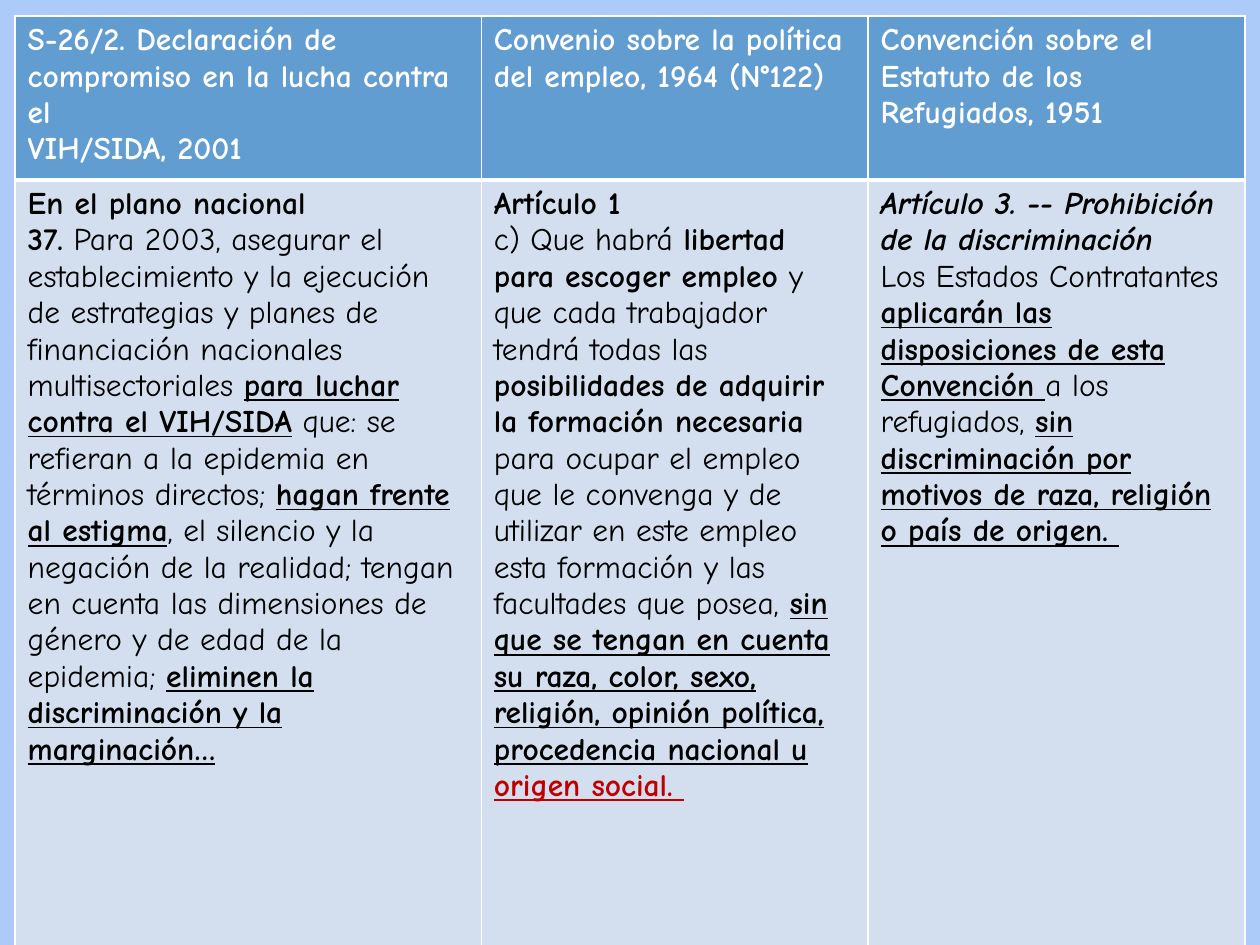
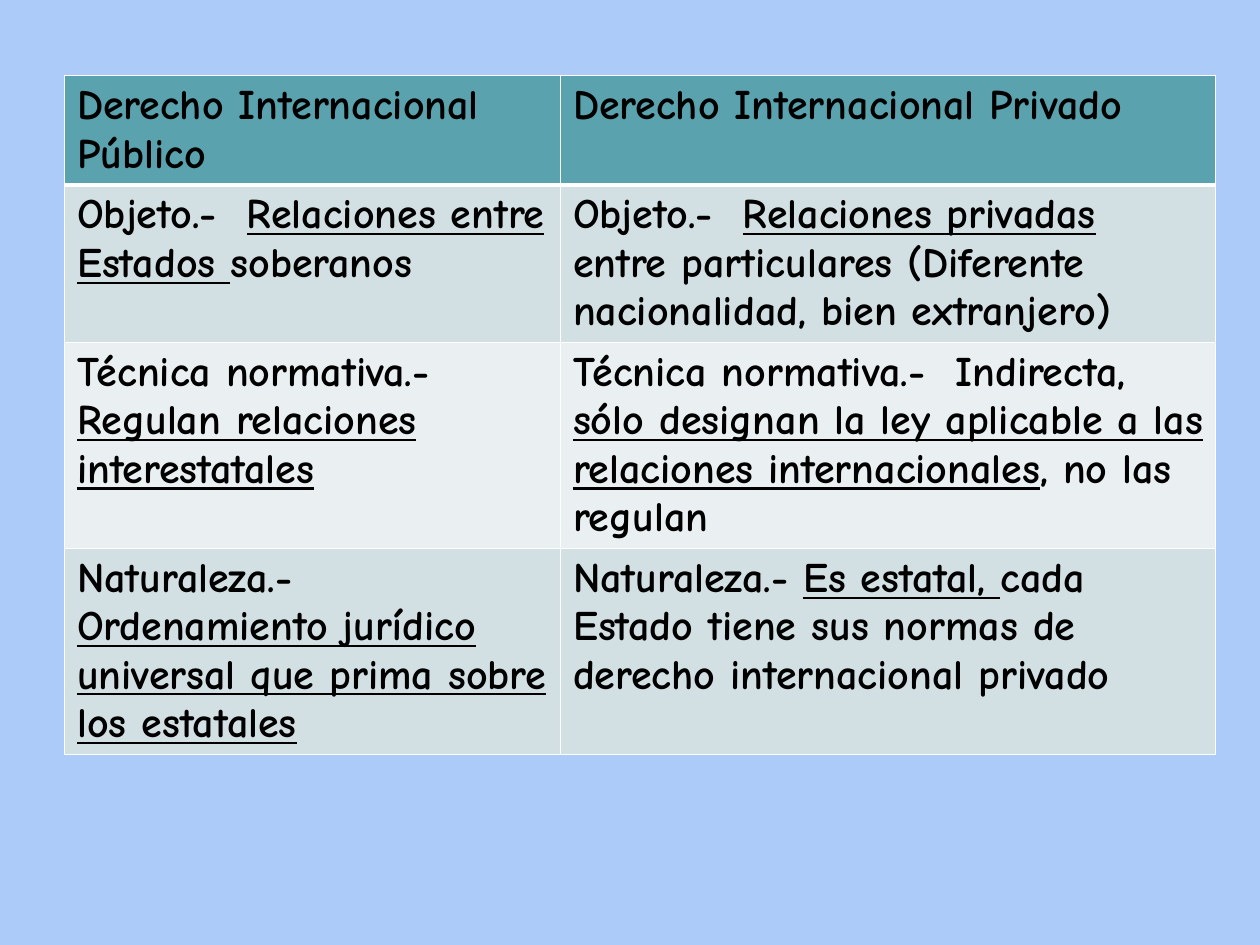
from lxml import etree
from pptx import Presentation
from pptx.dml.color import RGBColor
from pptx.oxml.ns import qn
from pptx.util import Pt

FONT = "Comic Neue"
COLORS = {
    "background": "ACCBF9",
    "white": "FFFFFF",
    "black": "000000",
    "red": "C00000",
    "treaty_header": "629DD1",
    "treaty_body": "D3DFEE",
    "law_header": "5AA2AE",
    "law_band": "D2E0E3",
    "law_light": "EAF0F2",
}
THIN, THICK = 1, 3

TREATY_HEADERS = [
    [
        [("S-26/2. Declaración de compromiso en la lucha contra el", "b")],
        [("VIH/SIDA, 2001", "b")],
    ],
    [[("Convenio sobre la política del empleo, 1964 (N°122)", "b")]],
    [[("Convención sobre el Estatuto de los Refugiados, 1951", "b")]],
]
TREATY_ARTICLES = [
    [
        [("En el plano nacional", "b")],
        [
            ("37.", "b"),
            (" Para 2003, asegurar el establecimiento y la ejecución de estrategias y planes de", ""),
        ],
        [
            ("financiación nacionales multisectoriales ", ""),
            ("para luchar contra el VIH/SIDA", "bu"),
            (" que: se", ""),
        ],
        [
            ("refieran a la epidemia en términos directos; ", ""),
            ("hagan frente al estigma", "bu"),
            (", el silencio y la", ""),
        ],
        [("negación de la realidad; tengan en cuenta las dimensiones de género y de edad de la", "")],
        [("epidemia; ", ""), ("eliminen la discriminación y la marginación…", "bu")],
    ],
    [
        [("Artículo 1", "b")],
        [
            ("c) Que habrá ", ""),
            ("libertad para escoger empleo ", "b"),
            ("y que cada trabajador tendrá todas las ", ""),
            ("posibilidades de adquirir la formación necesaria ", "b"),
            ("para ocupar el empleo que le convenga y de utilizar en este empleo "
             "esta formación y las facultades que posea, ", ""),
            ("sin que se tengan en cuenta su raza, color, sexo, religión, "
             "opinión política, procedencia nacional u ", "bu"),
            ("origen social. ", "bur"),
        ],
    ],
    [
        [("Artículo 3. -- Prohibición de la discriminación", "bi")],
        [
            ("Los Estados Contratantes ", ""),
            ("aplicarán las disposiciones de esta Convención ", "bu"),
            ("a los refugiados, ", ""),
            ("sin discriminación por motivos de raza, religión o país de origen. ", "bu"),
        ],
    ],
]
LAW_BRANCHES = [
    [
        [[("Derecho Internacional Público", "b")]],
        [[("Derecho Internacional Privado", "b")]],
    ],
    [
        [[("Objeto.-  ", "b"), ("Relaciones entre Estados ", "bu"), ("soberanos", "b")]],
        [[
            ("Objeto.-  ", "b"),
            ("Relaciones privadas ", "bu"),
            ("entre particulares (Diferente nacionalidad, bien extranjero)", "b"),
        ]],
    ],
    [
        [[("Técnica normativa.- ", "b"), ("Regulan relaciones interestatales", "bu")]],
        [[
            ("Técnica normativa.-  Indirecta, ", "b"),
            ("sólo designan la ley aplicable a las relaciones internacionales", "bu"),
            (", no las regulan", "b"),
        ]],
    ],
    [
        [[
            ("Naturaleza.- ", "b"),
            ("Ordenamiento jurídico universal que prima sobre los estatales", "bu"),
        ]],
        [[
            ("Naturaleza.- ", "b"),
            ("Es estatal, ", "bu"),
            ("cada Estado tiene sus normas de derecho internacional privado", "b"),
        ]],
    ],
]


def rgb(name):
    return RGBColor.from_string(COLORS[name])


def add_text(paragraph, text, size, color, bold=False, italic=False, underline=False):
    run = paragraph.add_run()
    run.text = text
    font = run.font
    font.name, font.size = FONT, Pt(size)
    font.bold, font.italic, font.underline = bold, italic, underline
    font.color.rgb = rgb(color)


def set_borders(cell, top, bottom):
    properties = cell._tc.get_or_add_tcPr()
    for side, width in (("L", THIN), ("R", THIN), ("T", top), ("B", bottom)):
        line = etree.SubElement(properties, qn(f"a:ln{side}"), w=str(Pt(width)))
        fill = etree.SubElement(line, qn("a:solidFill"))
        etree.SubElement(fill, qn("a:srgbClr"), val=COLORS["white"])


def fill_cell(cell, paragraphs, size, color):
    frame = cell.text_frame
    for index, runs in enumerate(paragraphs):
        paragraph = frame.add_paragraph() if index else frame.paragraphs[0]
        for text, style in runs:
            add_text(paragraph, text, size, "red" if "r" in style else color,
                     bold="b" in style, italic="i" in style, underline="u" in style)


def add_grid(slide, left, top, widths, heights, rows, fills, size, header_color):
    table = slide.shapes.add_table(
        len(rows), len(widths), Pt(left), Pt(top), Pt(sum(widths)), Pt(sum(heights))
    ).table
    table.horz_banding = False
    for column, width in zip(table.columns, widths):
        column.width = Pt(width)
    for r, (cells, height, fill) in enumerate(zip(rows, heights, fills)):
        table.rows[r].height = Pt(height)
        for c, paragraphs in enumerate(cells):
            cell = table.cell(r, c)
            set_borders(cell, THICK if r == 1 else THIN, THICK if r == 0 else THIN)
            cell.fill.solid()
            cell.fill.fore_color.rgb = rgb(fill)
            fill_cell(cell, paragraphs, size, "black" if r else header_color)


def add_blank_slide(deck):
    slide = deck.slides.add_slide(deck.slide_layouts[6])
    slide.background.fill.solid()
    slide.background.fill.fore_color.rgb = rgb("background")
    return slide


def build_treaties(deck):
    add_grid(add_blank_slide(deck), 8.64, 9.2, [266.4, 221, 215.3], [93.6, 439.2],
             [TREATY_HEADERS, TREATY_ARTICLES], ["treaty_header", "treaty_body"],
             18, "white")


def build_law_branches(deck):
    add_grid(add_blank_slide(deck), 36.9, 43.2, [283.4, 374.4], [62, 90, 117.5, 117.5],
             LAW_BRANCHES, ["law_header", "law_band", "law_light", "law_band"],
             24, "black")


def main():
    deck = Presentation()
    deck.slide_width, deck.slide_height = Pt(720), Pt(540)
    build_treaties(deck)
    build_law_branches(deck)
    deck.save("out.pptx")


if __name__ == "__main__":
    main()
